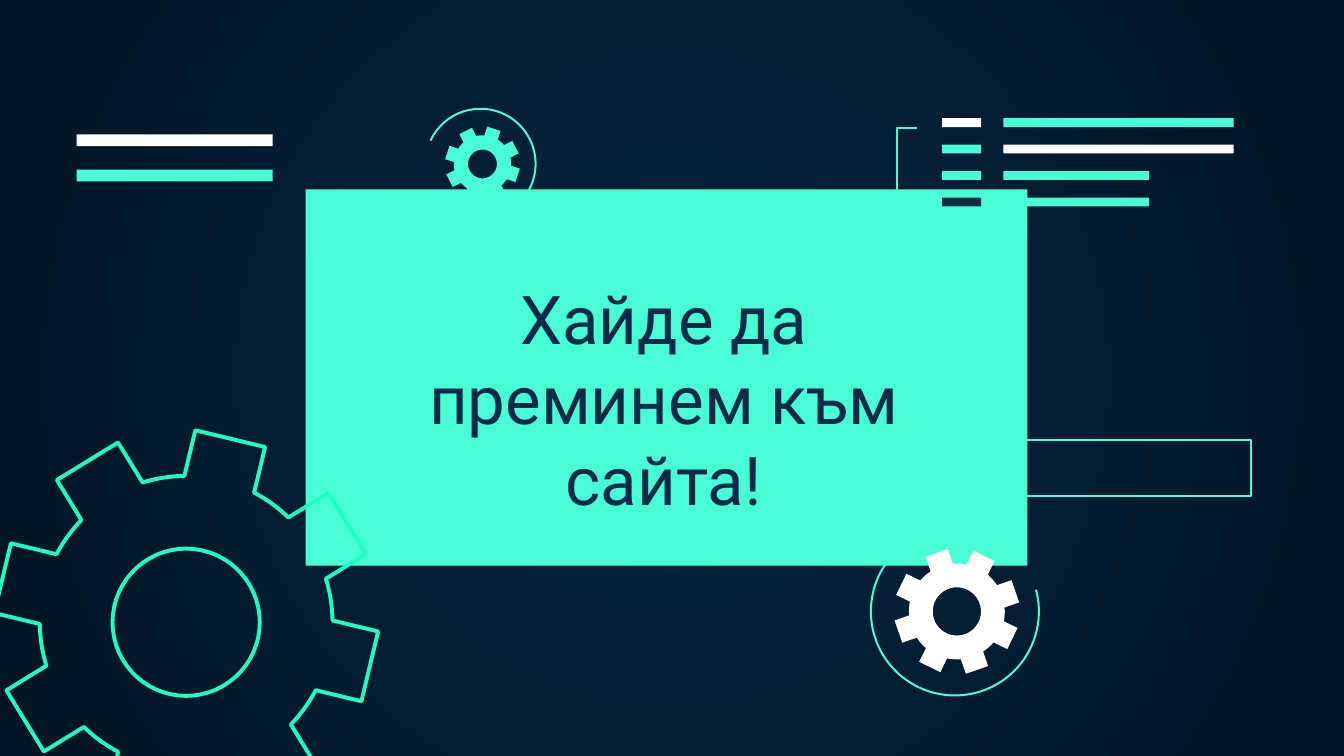
from math import asin, cos, radians, sin

from lxml.etree import SubElement
from pptx import Presentation
from pptx.dml.color import RGBColor
from pptx.enum.shapes import MSO_SHAPE
from pptx.enum.text import MSO_ANCHOR, MSO_AUTO_SIZE, PP_ALIGN
from pptx.oxml.ns import qn
from pptx.util import Inches, Pt

CELL = Inches(0.1)
COLUMNS, ROWS = 100, 56.25
COLORS = {
    "mint": "48FFD5",
    "outline": "1EFFC1",
    "white": "FFFFFF",
    "navy": "0E2A47",
    "glow": "052643",
    "edge": "041523",
}
TEETH = 8


def cells(*counts):
    """Convert grid cells to lengths."""
    return [round(count * CELL) for count in counts]


def rgb(name):
    """Look up a colour by its name."""
    return RGBColor.from_string(COLORS[name])


def paint(part, fill=None, line=None, width=1.09):
    """Set the fill and line of a part, without a shadow."""
    part.shadow.inherit = False
    if fill:
        part.fill.solid()
        part.fill.fore_color.rgb = rgb(fill)
    else:
        part.fill.background()
    if line:
        part.line.color.rgb = rgb(line)
        part.line.width = Pt(width)
    else:
        part.line.fill.background()


def block(slide, box, **style):
    """Add a rectangle in the given box."""
    paint(slide.shapes.add_shape(MSO_SHAPE.RECTANGLE, *cells(*box)), **style)


def outline(slide, contours, closed=True, **style):
    """Add one freeform made of all the contours."""
    first, *others = [[cells(*point) for point in contour] for contour in contours]
    builder = slide.shapes.build_freeform(*first[0])
    builder.add_line_segments(first[1:], close=closed)
    for contour in others:
        builder.move_to(*contour[0])
        builder.add_line_segments(contour[1:], close=closed)
    paint(builder.convert_to_shape(), **style)


def arc_points(center, radius, start, end, steps=12):
    """List points along an arc, clockwise when end exceeds start."""
    angles = [radians(start + (end - start) * i / steps) for i in range(steps + 1)]
    return [(center[0] + radius * cos(a), center[1] + radius * sin(a)) for a in angles]


def middle(box):
    """Find the centre of a box."""
    left, top, width, height = box
    return left + width / 2, top + height / 2


def gear(slide, box, turn, **style):
    """Draw a toothed wheel with a round hole in a square box."""
    center, tip = middle(box), box[2] / 2
    half_tooth, root, hole = 0.19 * tip, 0.775 * tip, 0.39 * tip
    pitch = 360 / TEETH
    root_angle = asin(half_tooth / root) * 180 / 3.14159
    rim = []
    for tooth in range(TEETH):
        angle = turn + tooth * pitch
        across, along = sin(radians(angle)), cos(radians(angle))
        for side in (-half_tooth, half_tooth):
            rim.append((center[0] + tip * along - side * across,
                        center[1] + tip * across + side * along))
        rim += arc_points(center, root, angle + root_angle, angle + pitch - root_angle)
    outline(slide, [rim, arc_points(center, hole, 360, 0, 60)], **style)


def orbit(slide, box, start, end):
    """Draw an open ring in a square box."""
    ring = arc_points(middle(box), box[2] / 2, start, end, 80)
    outline(slide, [ring], closed=False, line="mint")


def code_lines(slide, box):
    """Draw rows of a short tag and a longer line, with a bracket at left."""
    left, top, width, height = box
    pitch, bar = height * 0.298, height * 0.1
    rows = [("white", "mint", 0.79), ("mint", "white", 0.79),
            ("mint", "mint", 0.5), ("navy", "mint", 0.5)]
    for index, (tag, line, share) in enumerate(rows):
        y = top + index * pitch
        block(slide, (left, y, width * 0.134, bar), fill=tag)
        block(slide, (left + width * 0.21, y, width * share, bar), fill=line)
    outer, inner = left - width * 0.155, left - width * 0.085
    upper, lower = top + height * 0.11, top + height * 1.03
    bracket = [(inner, lower), (outer, lower), (outer, upper), (inner, upper)]
    outline(slide, [bracket], closed=False, line="mint")


def double_bar(slide, box):
    """Draw a white bar over a mint bar."""
    left, top, width, height = box
    bar = height / 4
    block(slide, (left, top, width, bar), fill="white")
    block(slide, (left, top + height - bar, width, bar), fill="mint")


def write(frame, text, font="Roboto", size=36, color="navy", align=PP_ALIGN.CENTER):
    """Put formatted text in a frame."""
    frame.word_wrap = True
    frame.auto_size = MSO_AUTO_SIZE.NONE
    frame.vertical_anchor = MSO_ANCHOR.TOP
    frame.margin_left = frame.margin_right = Inches(0.1)
    frame.margin_top = frame.margin_bottom = Inches(0.1)
    paragraph = frame.paragraphs[0]
    paragraph.alignment = align
    paragraph.space_before = Pt(0)
    run = paragraph.add_run()
    run.text = text
    run.font.name, run.font.size = font, Pt(size)
    run.font.color.rgb = rgb(color)


def message(slide, box, text):
    """Place the subtitle in front of the panel."""
    subtitle = slide.placeholders[1]
    subtitle.left, subtitle.top, subtitle.width, subtitle.height = cells(*box)
    write(subtitle.text_frame, text)
    subtitle.element.getparent().append(subtitle.element)


def backdrop(slide):
    """Fill the background with a glow from the centre."""
    fill = slide.background.fill
    fill.gradient()
    for stop, name in zip(fill.gradient_stops, ("glow", "edge")):
        stop.color.rgb = rgb(name)
    gradient = slide.element.find(".//" + qn("a:gradFill"))
    gradient.remove(gradient.find(qn("a:lin")))
    glow = SubElement(gradient, qn("a:path"), {"path": "circle"})
    SubElement(glow, qn("a:fillToRect"), {side: "50000" for side in "ltrb"})


def main():
    """Build the slide."""
    deck = Presentation()
    deck.slide_width, deck.slide_height = cells(COLUMNS, ROWS)
    slide = deck.slides.add_slide(deck.slide_layouts[0])
    title = slide.shapes.title.element
    title.getparent().remove(title)
    backdrop(slide)
    block(slide, (22.75, 14.1, 53.7, 28), fill="mint")
    orbit(slide, (31.65, 8.1, 8.2, 8.2), 205, 455)
    orbit(slide, (64.8, 39.25, 12.5, 12.5), -15, 233)
    gear(slide, (-0.2, 32.25, 28.1, 28.1), 13.5, line="outline", width=2.1)
    gear(slide, (66.6, 40.9, 9.2, 9.2), 26, fill="white")
    gear(slide, (33.15, 9.45, 5.5, 5.5), 18, fill="mint")
    code_lines(slide, (70.1, 8.8, 21.7, 6.6))
    double_bar(slide, (5.7, 10, 14.6, 3.5))
    block(slide, (72, 32.75, 21.1, 4.15), line="mint")
    message(slide, (30.5, 19.6, 37.8, 15.5), "Хайде да преминем към сайта!")
    deck.save("out.pptx")


if __name__ == "__main__":
    main()
